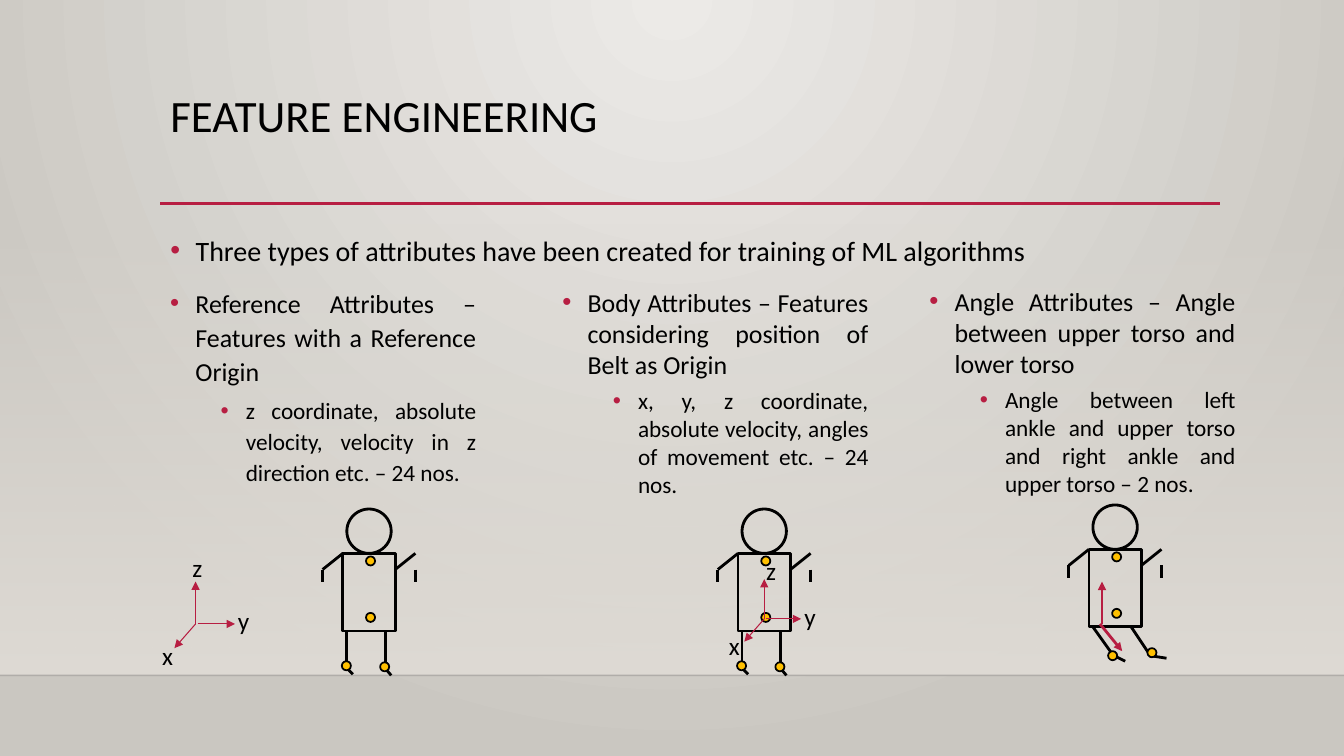
"""Build the feature engineering slide with three attribute columns and stick figures."""
import pptx
import pptx.dml.color
import pptx.enum.shapes
import pptx.enum.text
import pptx.oxml.ns
import pptx.oxml.xmlchemy
import pptx.util
from lxml import etree

Inches = pptx.util.Inches
Pt = pptx.util.Pt
qn = pptx.oxml.ns.qn
SHAPE = pptx.enum.shapes.MSO_SHAPE
ALIGN = pptx.enum.text.PP_ALIGN

COLOURS = {"accent": "B71E42", "ink": "000000", "joint": "FFC000", "ground": "000001",
           "centre": "ECEAE7", "edge": "CAC7C1", "wall": "DFDBD5"}
FONT = "Calibri"
TITLE = "FEATURE ENGINEERING"
INTRO = "Three types of attributes have been created for training of ML algorithms"
COLUMNS = [
    ((1.59, 2.77, 3.23, 2.15), 1.1,
     "Reference Attributes – Features with a Reference Origin",
     "z coordinate, absolute velocity, velocity in z direction etc. – 24 nos."),
    ((5.48, 2.79, 3.23, 2.43), 1.0,
     "Body Attributes – Features considering position of Belt as Origin",
     "x, y, z coordinate, absolute velocity, angles of movement etc. – 24 nos."),
    ((9.12, 2.78, 3.23, 2.43), 1.0,
     "Angle Attributes – Angle between upper torso and lower torso",
     "Angle between left ankle and upper torso and right ankle and upper torso – 2 nos."),
]

ARMS = [(0, 0, -0.2, 0.16), (-0.2, 0.16, -0.2, 0.28),
        (0.72, 0, 0.52, 0.16), (0.72, 0.16, 0.72, 0.28)]
TORSO_JOINTS = [(0.23, 0.59), (0.23, 0.03)]
STANDING = {"legs": [(0.04, 0.77, 0.04, 1.14), (0.42, 0.77, 0.42, 1.14),
                     (0.04, 1.14, 0.1, 1.2), (0.42, 1.14, 0.48, 1.21)],
            "ankles": [(-0.01, 1.07), (0.37, 1.08)]}
STEPPING = {"legs": [(0.04, 0.77, 0.24, 1.05), (0.42, 0.77, 0.62, 1.07),
                     (0.24, 1.05, 0.36, 1.11), (0.64, 1.06, 0.77, 1.08)],
            "ankles": [(0.19, 1.01), (0.58, 0.98)]}
AXIS_ARROWS = [(0, 0, 0, -0.42), (0.02, 0, 0.39, 0), (0, 0, -0.21, 0.24)]
ANGLE_ARROWS = [(0.13, 0.74, 0.13, 0.32), (0.11, 0.74, 0.33, 1.01)]
FIGURES = [
    {"torso": (3.4, 5.49), "pose": STANDING,
     "axes": {"origin": (1.94, 6.19), "scale": 1, "label_size": (0.42, 0.4),
              "labels": {"z": (1.81, 5.43), "y": (2.26, 5.96), "x": (1.51, 6.3)}}},
    {"torso": (7.32, 5.49), "pose": STANDING,
     "axes": {"origin": (7.58, 6.14), "scale": 0.94, "label_size": (0.39, 0.38),
              "labels": {"z": (7.5, 5.46), "y": (7.88, 5.92), "x": (7.13, 6.2)}}},
    {"torso": (10.8, 5.45), "pose": STEPPING, "arrows": ANGLE_ARROWS},
]


def rgb(name):
    return pptx.dml.color.RGBColor.from_string(COLOURS[name])


def set_alpha(colour_holder, percent):
    colour = next(colour_holder.iter(qn("a:srgbClr")))
    etree.SubElement(colour, qn("a:alpha")).set("val", str(percent * 1000))


def set_gradient(fill, first, last):
    fill.gradient()
    for stop, name, position in zip(fill.gradient_stops, (first, last), (0, 1)):
        stop.color.rgb = rgb(name)
        stop.position = position


def write(frame, text, size=18, align=ALIGN.LEFT, level=0, indent=None, spacing=1.0, before=0):
    first = frame.paragraphs[0]
    para = frame.add_paragraph() if first.runs else first
    para.alignment, para.level = align, level
    para.line_spacing, para.space_before = spacing, Pt(before)
    span = para.add_run()
    span.text = text
    span.font.name, span.font.size = FONT, Pt(size)
    span.font.color.rgb = rgb("ink")
    if indent is not None:
        props = para._p.get_or_add_pPr()
        props.set("marL", str(Inches(indent)))
        props.set("indent", str(Inches(-0.25)))
        colour = etree.SubElement(props, qn("a:buClr"))
        etree.SubElement(colour, qn("a:srgbClr")).set("val", COLOURS["accent"])
        etree.SubElement(props, qn("a:buFont")).set("typeface", "Arial")
        etree.SubElement(props, qn("a:buChar")).set("char", "•")


def prepare(box):
    frame = box.text_frame
    frame.word_wrap = True
    frame.auto_size = pptx.enum.text.MSO_AUTO_SIZE.NONE
    frame.vertical_anchor = pptx.enum.text.MSO_ANCHOR.TOP
    return frame


def place(box, left, top, width, height):
    box.left, box.top = Inches(left), Inches(top)
    box.width, box.height = Inches(width), Inches(height)


def add_text_box(shapes, *bounds):
    return prepare(shapes.add_textbox(*map(Inches, bounds)))


def add_line(shapes, ends, colour="ink", width=2, offset=(0, 0), scale=1, arrow=False):
    points = [Inches(offset[i % 2] + scale * value) for i, value in enumerate(ends)]
    line = shapes.add_connector(pptx.enum.shapes.MSO_CONNECTOR.STRAIGHT, *points)
    line.line.color.rgb = rgb(colour)
    line.line.width = Pt(width)
    etree.SubElement(line._element.spPr, qn("a:effectLst"))
    if arrow:
        etree.SubElement(line.line._get_or_add_ln(), qn("a:tailEnd")).set("type", "triangle")
    return line


def add_outline(shapes, kind, left, top, width, height, fill=None, line_width=2):
    shape = shapes.add_shape(kind, *map(Inches, (left, top, width, height)))
    shape.shadow.inherit = False
    if fill:
        shape.fill.solid()
        shape.fill.fore_color.rgb = rgb(fill)
    else:
        shape.fill.background()
    shape.line.color.rgb = rgb("ink")
    shape.line.width = Pt(line_width)


def draw_axes(shapes, origin, scale, label_size, labels):
    for ends in AXIS_ARROWS:
        add_line(shapes, ends, "accent", 0.75, origin, scale, arrow=True)
    for letter, corner in labels.items():
        write(add_text_box(shapes, *corner, *label_size), letter)


def draw_figure(page, torso, pose, axes=None, arrows=()):
    shapes = page.shapes.add_group_shape().shapes
    left, top = torso
    add_outline(shapes, SHAPE.OVAL, left + 0.04, top - 0.44, 0.44, 0.44)
    add_outline(shapes, SHAPE.RECTANGLE, left, top, 0.52, 0.77)
    for ends in ARMS + pose["legs"]:
        add_line(shapes, ends, offset=torso)
    for x, y in TORSO_JOINTS + pose["ankles"]:
        add_outline(shapes, SHAPE.OVAL, left + x, top + y, 0.09, 0.09, "joint", 1.25)
    for ends in arrows:
        add_line(shapes, ends, "accent", offset=torso, arrow=True)
    if axes:
        draw_axes(shapes, **axes)


def draw_backdrop(page):
    set_gradient(page.background.fill, "centre", "edge")
    gradient = next(page.element.iter(qn("a:gradFill")))
    gradient.remove(gradient.find(qn("a:lin")))
    circle = etree.SubElement(gradient, qn("a:path"))
    circle.set("path", "circle")
    focus = etree.SubElement(circle, qn("a:fillToRect"))
    for side, percent in zip("ltrb", (43, 0, 43, 100)):
        focus.set(side, str(percent * 1000))
    wall = page.shapes.add_shape(SHAPE.RECTANGLE, 0, Inches(2.21), Inches(13.33), Inches(4.49))
    wall.shadow.inherit = False
    wall.line.fill.background()
    set_gradient(wall.fill, "wall", "wall")
    wall.fill.gradient_angle = 270
    set_alpha(wall._element.spPr, 0)
    ground = add_line(page.shapes, (0, 6.7, 13.33, 6.7), "ground", 1)
    set_alpha(ground._element.spPr, 20)
    add_line(page.shapes, (1.59, 2.02, 12.1, 2.02), "accent", 2.5)
    tree = page.shapes._spTree
    for box in page.placeholders:
        tree.append(box._element)


def main():
    deck = pptx.Presentation()
    deck.slide_width, deck.slide_height = Inches(13.33), Inches(7.5)
    page = deck.slides.add_slide(deck.slide_layouts[1])
    draw_backdrop(page)
    title, body = page.shapes.title, page.placeholders[1]
    place(title, 1.59, 0.88, 10.5, 1.15)
    write(prepare(title), TITLE, size=32, spacing=0.9)
    place(body, 1.59, 2.2, 8.74, 0.81)
    write(prepare(body), INTRO, size=20, align=ALIGN.JUSTIFY, indent=0.25, spacing=1.2, before=10)
    for bounds, spacing, heading, detail in COLUMNS:
        frame = add_text_box(page.shapes, *bounds)
        write(frame, heading, size=18.5, align=ALIGN.JUSTIFY, indent=0.25,
              spacing=spacing, before=10)
        write(frame, detail, size=16.6, align=ALIGN.JUSTIFY, level=1, indent=0.75,
              spacing=spacing, before=5)
    for figure in FIGURES:
        draw_figure(page, **figure)
    deck.save("out.pptx")


if __name__ == "__main__":
    main()
